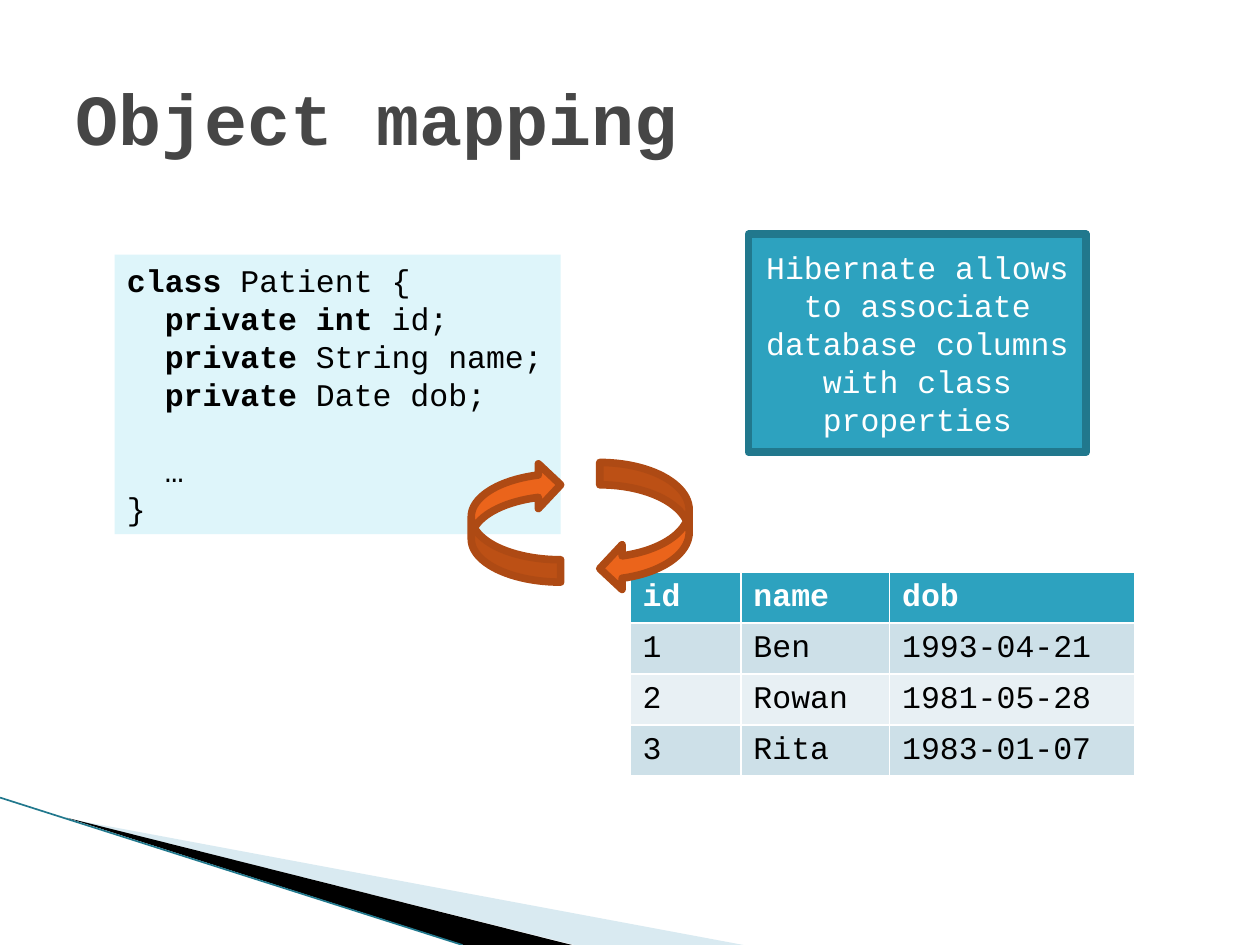
import pptx
import pptx.dml.color
import pptx.enum.shapes
import pptx.enum.text
import pptx.util
from lxml import etree

RGBColor = pptx.dml.color.RGBColor
SHAPE = pptx.enum.shapes.MSO_SHAPE
ANCHOR = pptx.enum.text.MSO_ANCHOR
ALIGN = pptx.enum.text.PP_ALIGN

WHITE = RGBColor(0xFF, 0xFF, 0xFF)
BLACK = RGBColor(0x00, 0x00, 0x00)
GRAY = RGBColor(0x46, 0x46, 0x46)
TEAL = RGBColor(0x2D, 0xA2, 0xBF)
DARK_TEAL = RGBColor(0x21, 0x78, 0x8D)
PALE_CYAN = RGBColor(0xDE, 0xF5, 0xFA)
PALE_BLUE = RGBColor(0xD9, 0xEA, 0xF1)
ORANGE = RGBColor(0xEB, 0x64, 0x1B)
RUST = RGBColor(0xAE, 0x4A, 0x14)
BANDS = (RGBColor(0xCD, 0xE0, 0xE8), RGBColor(0xE8, 0xF0, 0xF4))

FONT = "Courier New"
BODY_SIZE = 18
LINE_HEIGHT = pptx.util.Pt(21.7)
BORDER = 4.33

# The slide is a grid of 100 columns by 75 rows
COLUMNS, ROWS = 100, 75

CODE = [
    [("class", True), (" Patient {", False)],
    [("  ", False), ("private int", True), (" id;", False)],
    [("  ", False), ("private", True), (" String name;", False)],
    [("  ", False), ("private", True), (" Date dob;", False)],
    [("  …", False)],
    [("}", False)],
]
PATIENTS = [
    ("id", "name", "dob"),
    ("1", "Ben", "1993-04-21"),
    ("2", "Rowan", "1981-05-28"),
    ("3", "Rita", "1983-01-07"),
]


class SlideBuilder:
    def __init__(self, presentation):
        self.width = presentation.slide_width
        self.height = presentation.slide_height
        self.slide = presentation.slides.add_slide(presentation.slide_layouts[6])
        self.shapes = self.slide.shapes

    def x(self, columns):
        return round(self.width * columns / COLUMNS)

    def y(self, rows):
        return round(self.height * rows / ROWS)

    def box(self, left, top, width, height):
        return self.x(left), self.y(top), self.x(width), self.y(height)

    def style_text(self, paragraph, color, size=BODY_SIZE, bold=None):
        font = paragraph.font
        font.name, font.size, font.bold = FONT, pptx.util.Pt(size), bold
        font.color.rgb = color
        if size == BODY_SIZE:
            paragraph.line_spacing = LINE_HEIGHT

    def paint(self, shape, fill, line=None):
        shape.shadow.inherit = False
        shape.fill.solid()
        shape.fill.fore_color.rgb = fill
        if line is None:
            shape.line.fill.background()
        else:
            shape.line.color.rgb = line
            shape.line.width = pptx.util.Pt(BORDER)

    def polygon(self, points, fill):
        start, *rest = [(self.x(column), self.y(row)) for column, row in points]
        builder = self.shapes.build_freeform(*start)
        builder.add_line_segments(rest, close=True)
        self.paint(builder.convert_to_shape(), fill)

    def line(self, start, end, color, weight):
        connector = self.shapes.add_connector(
            pptx.enum.shapes.MSO_CONNECTOR.STRAIGHT,
            self.x(start[0]), self.y(start[1]), self.x(end[0]), self.y(end[1]))
        connector.line.color.rgb = color
        connector.line.width = pptx.util.Pt(weight)
        properties = connector._element.spPr
        etree.SubElement(properties, pptx.oxml.ns.qn("a:effectLst"))

    def title(self, place, text):
        frame = self.shapes.add_textbox(*self.box(*place)).text_frame
        frame.word_wrap = True
        frame.vertical_anchor = ANCHOR.MIDDLE
        frame.text = text
        self.style_text(frame.paragraphs[0], GRAY, size=41, bold=True)

    def shape(self, kind, place, fill, line=None, rotation=0):
        shape = self.shapes.add_shape(kind, *self.box(*place))
        shape.rotation = rotation
        self.paint(shape, fill, line)
        return shape

    def code(self, place, lines, gap_before):
        frame = self.shape(SHAPE.RECTANGLE, place, PALE_CYAN).text_frame
        frame.word_wrap = False
        frame.auto_size = pptx.enum.text.MSO_AUTO_SIZE.SHAPE_TO_FIT_TEXT
        frame.vertical_anchor = ANCHOR.TOP
        for index, parts in enumerate(lines):
            paragraph = frame.add_paragraph() if index else frame.paragraphs[0]
            paragraph.alignment = ALIGN.LEFT
            self.style_text(paragraph, BLACK)
            if index == gap_before:
                paragraph.space_before = LINE_HEIGHT
            for text, bold in parts:
                run = paragraph.add_run()
                run.text = text
                run.font.bold = bold

    def callout(self, place, text):
        frame = self.shape(SHAPE.RECTANGLE, place, TEAL, DARK_TEAL).text_frame
        frame.word_wrap = True
        frame.vertical_anchor = ANCHOR.MIDDLE
        frame.text = text
        frame.paragraphs[0].alignment = ALIGN.CENTER
        self.style_text(frame.paragraphs[0], WHITE)

    def table(self, left, top, widths, row_height, records):
        place = self.box(left, top, sum(widths), row_height * len(records))
        table = self.shapes.add_table(len(records), len(widths), *place).table
        for column, width in zip(table.columns, widths):
            column.width = self.x(width)
        for row, record in enumerate(records):
            header = row == 0
            for column, text in enumerate(record):
                cell = table.cell(row, column)
                cell.text = text
                cell.fill.solid()
                cell.fill.fore_color.rgb = TEAL if header else BANDS[(row - 1) % 2]
                self.style_text(cell.text_frame.paragraphs[0],
                                WHITE if header else BLACK, bold=header)


def main():
    presentation = pptx.Presentation()
    presentation.slide_width = pptx.util.Inches(10)
    presentation.slide_height = pptx.util.Inches(7.5)
    builder = SlideBuilder(presentation)

    # Corner decoration
    builder.polygon([(5.5, 65), (59, 75), (45.6, 75)], PALE_BLUE)
    builder.polygon([(5.3, 64.9), (45.4, 75), (36.8, 75)], BLACK)
    builder.line((0, 63.3), (36.7, 75), DARK_TEAL, 0.95)

    # Title
    builder.title((5, 3, 90, 12.5), "Object mapping")

    # Class and matching database table
    builder.code((9.1, 20.2, 35.4, 22.2), CODE, gap_before=4)
    builder.table(50, 45.4, (8.8, 11.8, 19.5), 4.05, PATIENTS)

    # Cycle arrows
    builder.shape(SHAPE.CURVED_LEFT_ARROW, (47.6, 36.7, 7.1, 10.2), ORANGE, RUST)
    builder.shape(SHAPE.CURVED_LEFT_ARROW, (37.4, 36.7, 7.1, 9.5), ORANGE, RUST,
                  rotation=180)

    # Explanation
    builder.callout((59.4, 18.6, 26.8, 17.3),
                    "Hibernate allows to associate database columns "
                    "with class properties")

    presentation.save("out.pptx")


if __name__ == "__main__":
    main()
